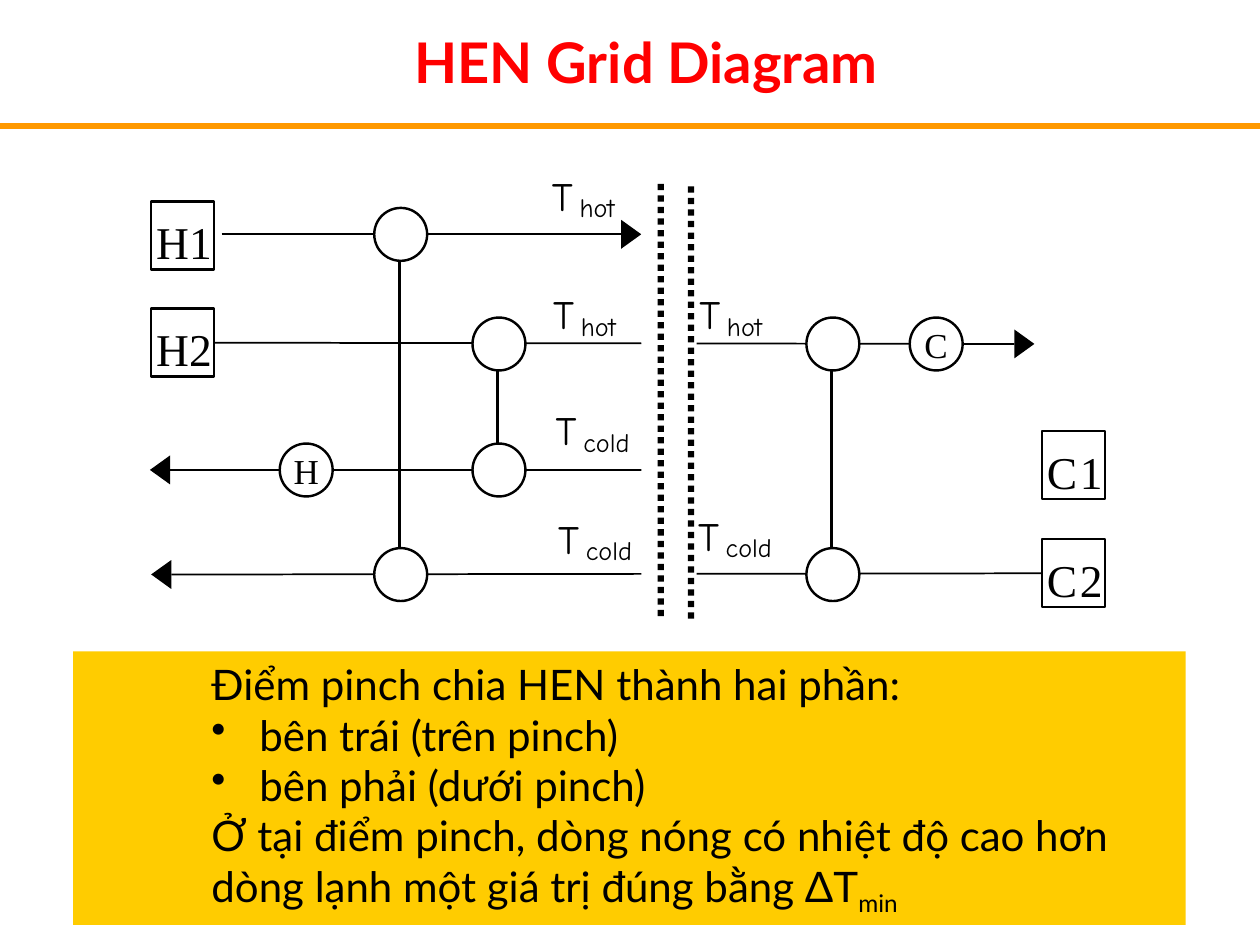
"""Build the HEN grid diagram slide with its pinch explanation."""
from lxml.etree import SubElement
from pptx import Presentation
from pptx.dml.color import RGBColor
from pptx.enum.shapes import MSO_CONNECTOR, MSO_SHAPE
from pptx.enum.text import MSO_ANCHOR, PP_ALIGN
from pptx.oxml.ns import qn
from pptx.util import Inches, Pt

BLACK = RGBColor(0, 0, 0)
WHITE = RGBColor(255, 255, 255)
RED = RGBColor(255, 0, 0)
ORANGE = RGBColor(255, 153, 0)
GOLD = RGBColor(255, 204, 0)
BODY, SERIF, HAND = "Lato", "Times New Roman", "Comic Neue"

TITLE = "HEN Grid Diagram"
NOTES = [
    ("Điểm pinch chia HEN thành hai phần:", "", False),
    ("bên trái (trên pinch)", "", True),
    ("bên phải (dưới pinch)", "", True),
    ("Ở tại điểm pinch, dòng nóng có nhiệt độ cao hơn dòng lạnh một giá trị đúng bằng ΔT", "min", False),
]
ROWS = {"H1": 1.86, "H2": 2.73, "C1": 3.73, "C2": 4.56}
COLUMNS = {"heater": 2.43, "outer": 3.18, "inner": 3.96, "below": 6.61, "cooler": 7.43}
TAGS = {"H1": (1.2, 1.6), "H2": (1.2, 2.45), "C1": (8.27, 3.42), "C2": (8.27, 4.28)}
STREAMS = [
    ("H1", 1.76, 4.93, None),
    ("H2", 1.7, 8.05, 3),
    ("C1", 5.42, 1.35, None),
    ("C2", 8.27, 1.36, 1),
]
LINKS = [("inner", "H2", "C1"), ("below", "H2", "C2"), ("outer", "H1", "C2")]
UTILITIES = [("heater", "C1", "H"), ("cooler", "H2", "C")]
TEMPERATURES = [
    ("hot", 4.38, 1.36), ("hot", 4.39, 2.3), ("cold", 4.41, 3.22),
    ("hot", 5.55, 2.3), ("cold", 4.43, 4.08), ("cold", 5.54, 4.06),
]
PINCH = [(5.22, 1.46), (5.46, 1.48)]
DOTS, DOT, PINCH_SPAN = 38, 0.05, 3.38
CIRCLE, ARROW = 0.42, 0.16

deck = Presentation()
deck.slide_width, deck.slide_height = Inches(10), Inches(7.5)
page = deck.slides.add_slide(deck.slide_layouts[5])


def add_block(kind, left, top, width, height, fill=None, line=None):
    block = page.shapes.add_shape(kind, *map(Inches, (left, top, width, height)))
    block.shadow.inherit = False
    if fill is None:
        block.fill.background()
    else:
        block.fill.solid()
        block.fill.fore_color.rgb = fill
    if line is None:
        block.line.fill.background()
    else:
        block.line.color.rgb = BLACK
        block.line.width = Pt(line)
    return block


def add_line(x1, y1, x2, y2, width, color=BLACK):
    line = page.shapes.add_connector(MSO_CONNECTOR.STRAIGHT, *map(Inches, (x1, y1, x2, y2)))
    line.line.color.rgb = color
    line.line.width = Pt(width)
    SubElement(line._element.spPr, qn("a:effectLst"))
    return line


def set_font(para, name, size, color=BLACK):
    para.font.name, para.font.size, para.font.color.rgb = name, Pt(size), color


def clear_margins(frame):
    frame.margin_left = frame.margin_right = frame.margin_top = frame.margin_bottom = 0
    frame.word_wrap = False


def add_label(text, left, top, width, height, name, size):
    box = page.shapes.add_textbox(*map(Inches, (left, top, width, height)))
    clear_margins(box.text_frame)
    para = box.text_frame.paragraphs[0]
    para.text = text
    set_font(para, name, size)


def add_circle(column, row, letter=""):
    left, top = COLUMNS[column] - CIRCLE / 2, ROWS[row] - CIRCLE / 2
    circle = add_block(MSO_SHAPE.OVAL, left, top, CIRCLE, CIRCLE, WHITE, 1.38)
    if letter:
        clear_margins(circle.text_frame)
        para = circle.text_frame.paragraphs[0]
        para.text, para.alignment = letter, PP_ALIGN.CENTER
        set_font(para, SERIF, 20)


def add_arrowhead(base, y, direction):
    points = [(base, y - 0.115), (base + direction * ARROW, y), (base, y + 0.115)]
    builder = page.shapes.build_freeform(*map(Inches, points[0]), scale=1.0)
    builder.add_line_segments([tuple(map(Inches, point)) for point in points[1:]], close=True)
    head = builder.convert_to_shape()
    head.shadow.inherit = False
    head.fill.solid()
    head.fill.fore_color.rgb = BLACK
    head.line.fill.background()


def add_heading():
    add_line(0, 1, 10, 1, 3, ORANGE)
    title = page.shapes.title
    title.left, title.top, title.width, title.height = map(Inches, (1.42, 0.17, 7.42, 0.63))
    title.text_frame.text = TITLE
    title.text_frame.vertical_anchor = MSO_ANCHOR.MIDDLE
    para = title.text_frame.paragraphs[0]
    para.alignment = PP_ALIGN.CENTER
    set_font(para, BODY, 32, RED)
    para.font.bold = True


def add_notes():
    panel = add_block(MSO_SHAPE.RECTANGLE, 0.58, 5.17, 8.83, 2.17, GOLD)
    frame = panel.text_frame
    frame.word_wrap, frame.vertical_anchor = True, MSO_ANCHOR.MIDDLE
    for index, (text, subscript, bulleted) in enumerate(NOTES):
        para = frame.add_paragraph() if index else frame.paragraphs[0]
        para.alignment = PP_ALIGN.LEFT
        para.add_run().text = text
        set_font(para, BODY, 24)
        properties = para._p.get_or_add_pPr()
        properties.set("marL", str(Inches(1.38 if bulleted else 1)))
        properties.set("indent", str(Inches(-0.38 if bulleted else 0)))
        if bulleted:
            bullet = properties.makeelement(qn("a:buChar"), {"char": "•"})
            properties.insert(0, bullet)
        if subscript:
            span = para.add_run()
            span.text = subscript
            span.font._element.set("baseline", "-25000")


def add_diagram():
    tags = {}
    for name, (left, top) in TAGS.items():
        add_label(name[0], left + 0.04, top + 0.1, 0.4, 0.49, SERIF, 26)
        add_label(name[1], left + 0.3, top + 0.1, 0.32, 0.49, SERIF, 26)
        tags[name] = add_block(MSO_SHAPE.RECTANGLE, left, top, 0.5, 0.54, line=1.38)
    for name, start, end, site in STREAMS:
        stream = add_line(start, ROWS[name], end, ROWS[name], 1)
        if site is not None:
            stream.begin_connect(tags[name], site)
        add_arrowhead(end, ROWS[name], 1 if end > start else -1)
    for column, upper, lower in LINKS:
        x = COLUMNS[column] - 0.01
        add_line(x, ROWS[upper], x, ROWS[lower], 1.38)
        add_circle(column, upper)
        add_circle(column, lower)
    for utility in UTILITIES:
        add_circle(*utility)
    add_block(MSO_SHAPE.RECTANGLE, 5.09, 1.56, 0.44, 3.44, WHITE)
    for left, top in PINCH:
        for index in range(DOTS):
            y = top + index * PINCH_SPAN / (DOTS - 1)
            add_block(MSO_SHAPE.RECTANGLE, left, y, DOT, DOT, BLACK)
    for side, left, top in TEMPERATURES:
        add_label("T", left, top, 0.37, 0.54, HAND, 23)
        add_label(side, left + 0.22, top + 0.16, 0.5, 0.37, HAND, 15)


add_heading()
add_notes()
add_diagram()
deck.save("out.pptx")
